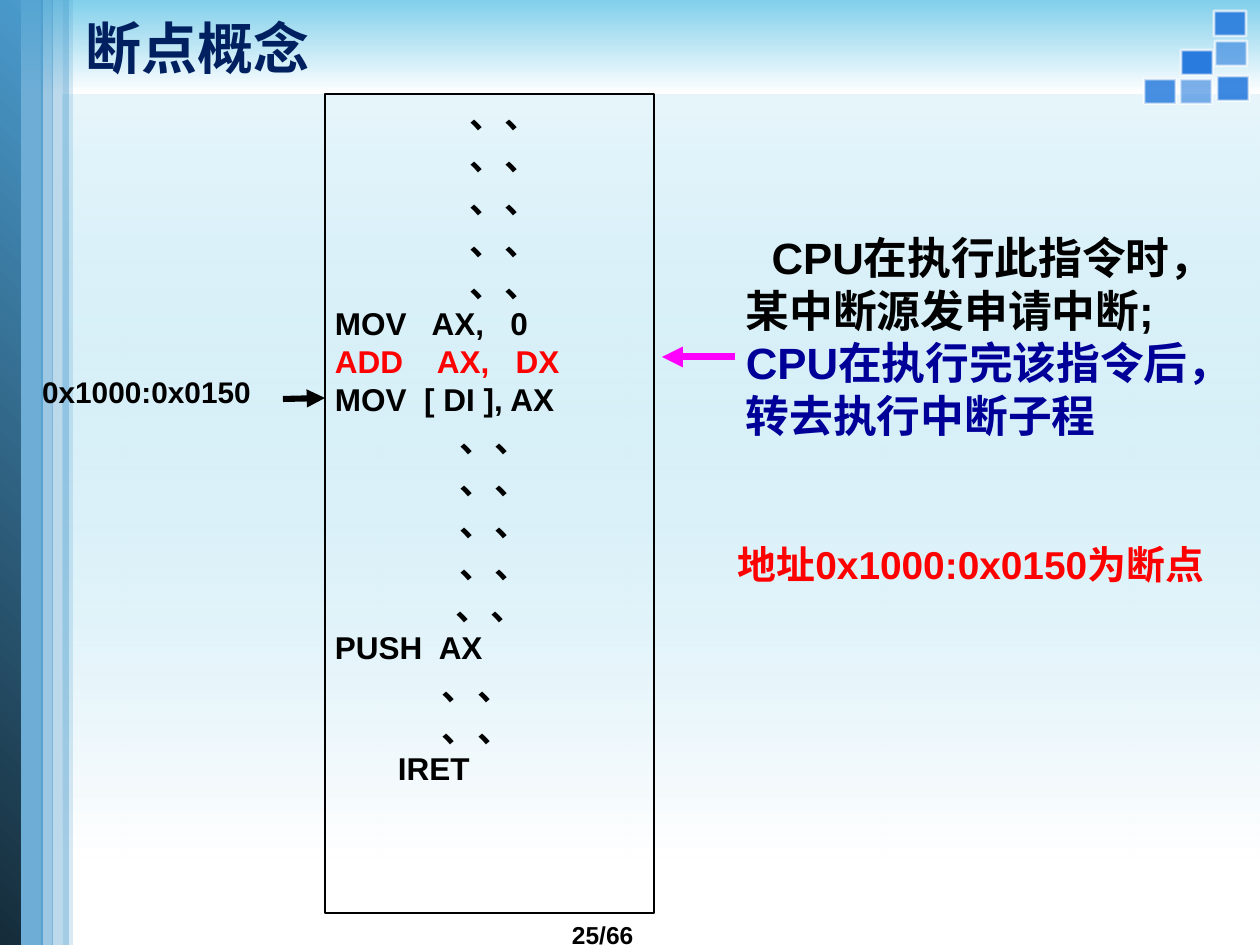
from lxml.etree import SubElement
from pptx import Presentation
from pptx.dml.color import RGBColor
from pptx.enum.shapes import MSO_CONNECTOR, MSO_SHAPE
from pptx.enum.text import MSO_ANCHOR, PP_ALIGN
from pptx.oxml.ns import qn
from pptx.util import Pt

LEFT, MID, JUST = PP_ALIGN.LEFT, PP_ALIGN.CENTER, PP_ALIGN.JUSTIFY
BLACK, RED, NAVY = "000000", "FF0000", "000099"
SKY, BLUE, WHITE = "81CFEB", "4A9ACC", "FFFFFF"


def px(count):
    """Turn pixels into EMU."""
    return round(count * 914400 / 126)


def tint(code):
    """Turn a hex string into a colour."""
    return RGBColor.from_string(code)


def fade(color, alpha):
    """Set the opacity of a colour element in percent."""
    SubElement(color, qn("a:alpha")).set("val", str(alpha * 1000))


def block(slide, box, fill=None, alpha=100, line=None):
    """Add a plain rectangle."""
    shape = slide.shapes.add_shape(MSO_SHAPE.RECTANGLE, *map(px, box))
    shape.shadow.inherit = False
    if fill:
        shape.fill.solid()
        shape.fill.fore_color.rgb = tint(fill)
        fade(shape.element.xpath("./p:spPr/a:solidFill/a:srgbClr")[0], alpha)
    else:
        shape.fill.background()
    if line:
        shape.line.color.rgb = tint(line)
    else:
        shape.line.fill.background()
    return shape


def blend(slide, box, ends, angle, alpha=100):
    """Add a rectangle that runs from one colour to another."""
    fill = block(slide, box).fill
    fill.gradient()
    fill.gradient_angle = angle
    for stop, code in zip(fill.gradient_stops, ends):
        stop.color.rgb = tint(code)
    fade(fill.gradient_stops[0].color._xFill.find(qn("a:srgbClr")), alpha)


def write(frame, rows, inset=(0, 0, 0, 0), space=None):
    """Fill a frame with rows of text, size, colour, alignment and indents."""
    frame.word_wrap = True
    frame.vertical_anchor = MSO_ANCHOR.TOP
    (frame.margin_left, frame.margin_top,
     frame.margin_right, frame.margin_bottom) = map(px, inset)
    for spot, (text, size, color, align, left, right) in enumerate(rows):
        para = frame.add_paragraph() if spot else frame.paragraphs[0]
        para.text = text
        para.alignment = align
        if space:
            para.line_spacing = space
        props = para._p.get_or_add_pPr()
        props.set("marL", str(px(left)))
        props.set("marR", str(px(right)))
        font = para.font
        font.name, font.size, font.bold = "Arial", Pt(size), True
        font.color.rgb = tint(color)


def label(slide, box, rows, inset=(0, 0, 0, 0), space=None):
    """Add a text box."""
    frame = slide.shapes.add_textbox(*map(px, box)).text_frame
    write(frame, rows, inset, space)
    return frame


def arrow(slide, ends, color, width):
    """Add a line with an arrowhead at its end."""
    line = slide.shapes.add_connector(MSO_CONNECTOR.STRAIGHT, *map(px, ends))
    line.line.color.rgb = tint(color)
    line.line.width = Pt(width)
    SubElement(line.line._get_or_add_ln(), qn("a:tailEnd")).set("type", "triangle")
    SubElement(line.element.spPr, qn("a:effectLst"))


def backdrop(slide, box):
    """Draw the washes and the stripes on the left."""
    x, y, wide, high = box
    blend(slide, (x + 63, y + 94, wide - 63, 766), (SKY, WHITE), 270, 19)
    blend(slide, (x, y, wide, 94), (SKY, WHITE), 270)
    block(slide, (x + 14, y, 29, high), BLUE, 80)
    blend(slide, (x - 1, y, 22, high), ("152C3A", BLUE), 45)
    for left, span, alpha in ((63, 10, 20), (41, 12, 54), (52, 17, 37)):
        block(slide, (x + left, y, span, high), BLUE, alpha)


def tiles(slide, box):
    """Draw the cluster of small tiles."""
    x, y, wide, high = box
    for left, top, alpha in ((73, 65, 90), (36, 68, 60), (0, 68, 85),
                             (37, 39, 100), (71, 30, 60), (70, 0, 90)):
        tile = block(slide, (x + left, y + top, wide, high), "297CDD", alpha, WHITE)
        tile.line.width = Pt(1.5)
        fade(tile.element.xpath("./p:spPr/a:ln/a:solidFill/a:srgbClr")[0], 70)


def heading(slide, box):
    """Set the title and bring it to the front."""
    title = slide.shapes.title
    title.left, title.top, title.width, title.height = map(px, box)
    frame = title.text_frame
    frame.text = "断点概念"
    frame.vertical_anchor = MSO_ANCHOR.MIDDLE
    para = frame.paragraphs[0]
    para.alignment = LEFT
    para.font.name, para.font.size, para.font.bold = "Calibri", Pt(32), True
    para.font.color.rgb = tint("002060")
    slide.shapes.element.append(title.element)


def listing(slide, box):
    """Draw the code column with the address that points into it."""
    x, y, wide, high = box

    def dots(count, align=MID, left=0, right=0):
        return [("、、", 20, BLACK, align, left, right)] * count

    def code(text, color=BLACK, left=0):
        return [(text, 18, color, LEFT, left, 0)]

    rows = (dots(5, left=20) + code("MOV   AX,   0") + code("ADD    AX,   DX", RED)
            + code("MOV  [ DI ], AX") + dots(4) + dots(1, right=8)
            + code("PUSH  AX") + dots(2, LEFT, 107) + code("IRET", left=63))
    label(slide, (x - 283, y + 284, 258, 39),
          [("0x1000:0x0150", 17, BLACK, JUST, 0, 0)], space=0.9)
    arrow(slide, (x - 42, y + 305, x, y + 304), BLACK, 3.5)
    frame = block(slide, box, line=BLACK)
    frame.line.width = Pt(1)
    write(frame.text_frame, rows, (10, 0, 0, 0))


def remarks(slide, box):
    """Write the remarks with an arrow back to the code."""
    x, y, wide, high = box
    arrow(slide, (x - 11, y + 126, x - 84, y + 126), "FF00FF", 4)
    lines = (("CPU在执行此指令时，", BLACK, MID), ("某中断源发申请中断;", BLACK, LEFT),
             ("CPU在执行完该指令后，", NAVY, LEFT), ("转去执行中断子程", NAVY, LEFT))
    label(slide, box, [(text, 25, color, align, 0, 0) for text, color, align in lines])
    label(slide, (x - 32, y + 315, 514, 63),
          [("地址0x1000:0x0150为断点", 22.2, RED, MID, 0, 0)], space=0.9)


def footer(slide, box):
    """Write the page number."""
    frame = label(slide, box, [("25/66", 14, BLACK, LEFT, 0, 0)], (13, 6, 13, 6))
    frame.word_wrap = False


def main():
    """Build the slide and save it."""
    deck = Presentation()
    deck.slide_width, deck.slide_height = px(1260), px(945)
    slide = deck.slides.add_slide(deck.slide_layouts[5])
    backdrop(slide, (0, 0, 1260, 945))
    tiles(slide, (1144, 11, 32, 25))
    footer(slide, (559, 914, 178, 43))
    listing(slide, (325, 94, 329, 819))
    remarks(slide, (746, 231, 493, 231))
    heading(slide, (73, 0, 1187, 94))
    deck.save("out.pptx")


if __name__ == "__main__":
    main()
